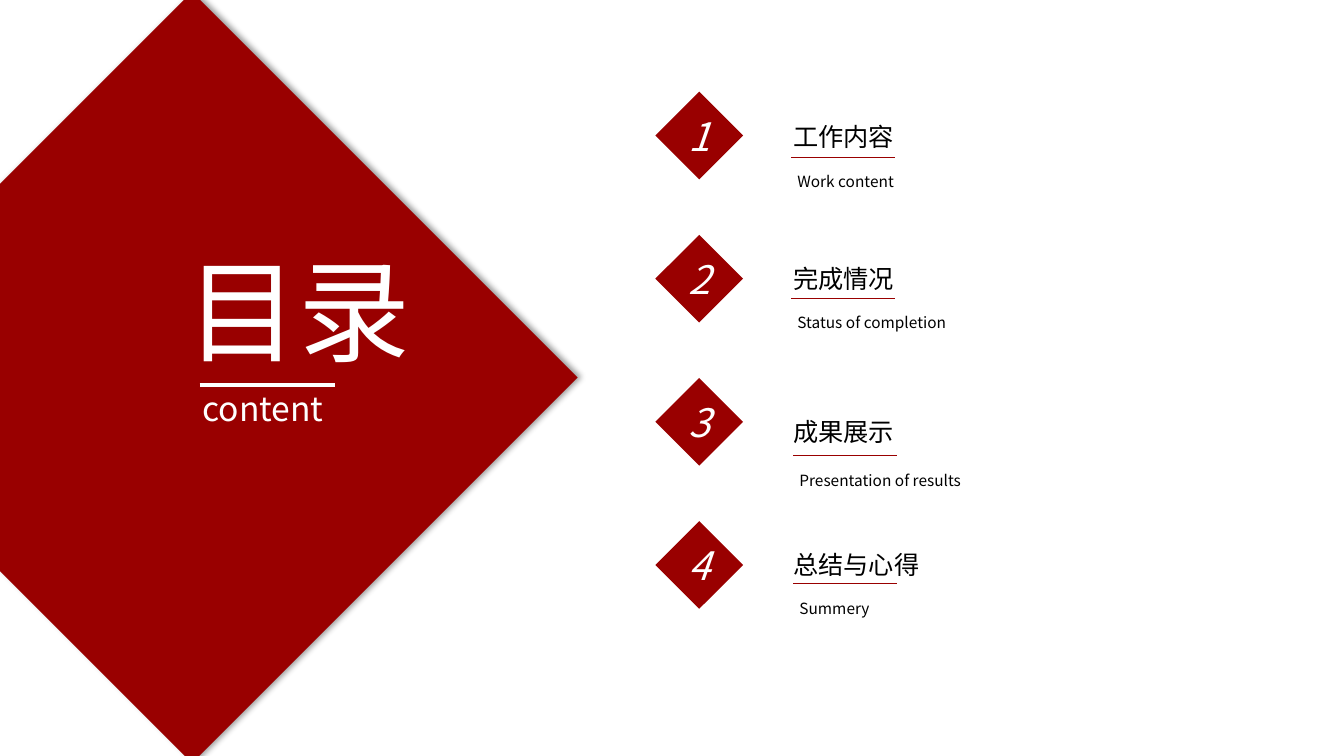
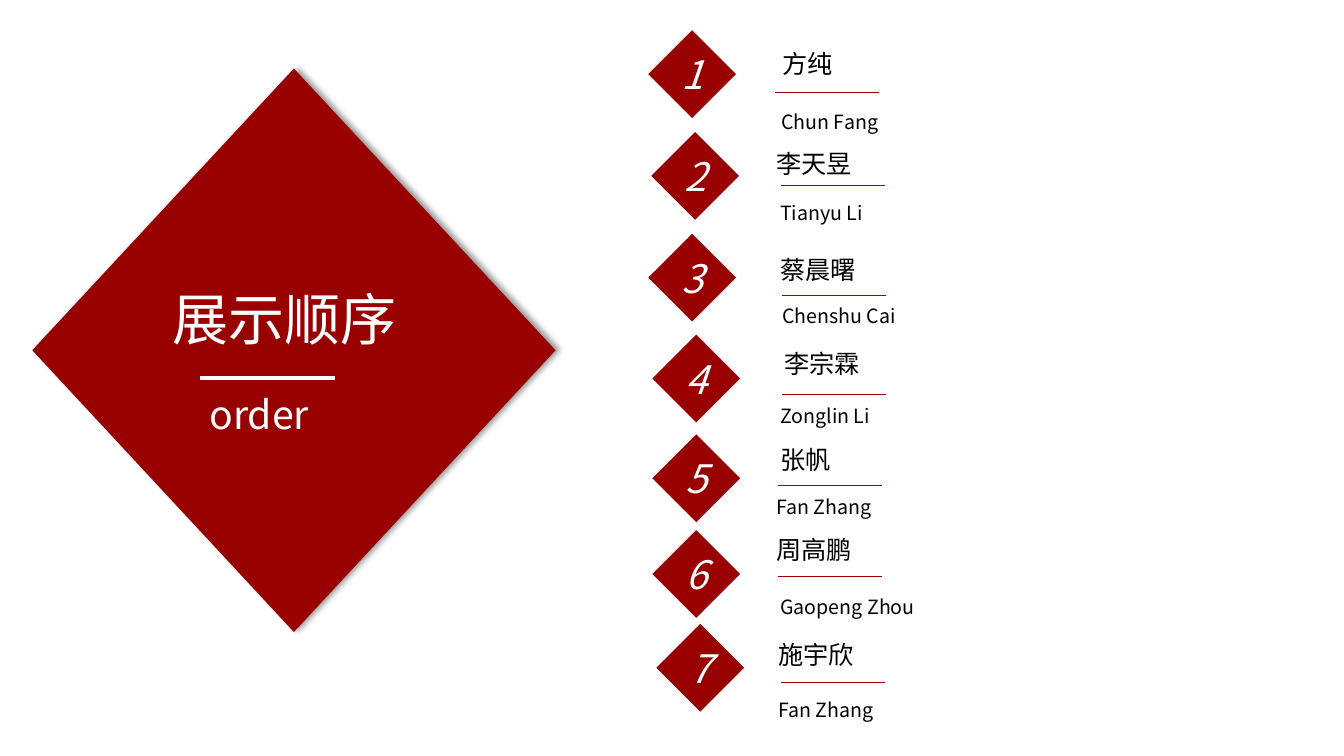
from dataclasses import dataclass

from lxml.etree import SubElement
from pptx import Presentation
from pptx.dml.color import RGBColor
from pptx.enum.shapes import MSO_CONNECTOR as Connector, MSO_SHAPE as Preset
from pptx.enum.text import MSO_ANCHOR as Anchor, MSO_AUTO_SIZE as AutoSize, PP_ALIGN as Align
from pptx.oxml.ns import qn
from pptx.util import Inches, Pt

# The grid has square cells, one inch a side.
COLUMNS, ROWS = 13.33, 7.5
RED, WHITE, BLACK = "990000", "FFFFFF", "000000"
DISPLAY_FONT, BODY_FONT = "Noto Sans CJK JP", "Noto Sans CJK SC"
BADGE_SIDE = 0.87
ENTRY_RULE = 1.03
BANNER_RULE_LEFT, BANNER_RULE_LENGTH = 1.98, 1.34
BANNER_TITLE_WIDTH, BANNER_SUBTITLE_WIDTH = 2.52, 2.36
HEADING_WIDTH, CAPTION_WIDTH = 3.86, 2.28


@dataclass
class Entry:
    """A numbered line; each place is a (column, row) pair."""
    heading: str
    caption: str
    badge: tuple
    heading_at: tuple
    rule_at: tuple
    caption_at: tuple


CONTENTS = [
    Entry(heading, caption, (6.5, 0.91 + 1.42 * index), (7.77, top),
          (left + 0.04, rule), (left, rule + 0.1))
    for index, (heading, caption, top, left, rule) in enumerate([
        ("工作内容", "Work content", 1.15, 7.81, 1.56),
        ("完成情况", "Status of completion", 2.56, 7.81, 2.96),
        ("成果展示", "Presentation of results", 4.08, 7.83, 4.52),
        ("总结与心得", "Summery", 5.4, 7.83, 5.79),
    ])
]

SPEAKERS = [
    Entry("方纯", "Chun Fang", (6.43, 0.3), (7.66, 0.43), (7.69, 0.92), (7.65, 1.04)),
    Entry("李天昱", "Tianyu Li", (6.46, 1.31), (7.6, 1.42), (7.75, 1.84), (7.64, 1.94)),
    Entry("蔡晨曙", "Chenshu Cai", (6.43, 2.32), (7.64, 2.47), (7.76, 2.93), (7.66, 2.97)),
    Entry("李宗霖", "Zonglin Li", (6.47, 3.32), (7.68, 3.41), (7.76, 3.91), (7.64, 3.96)),
    Entry("张帆", "Fan Zhang", (6.47, 4.31), (7.64, 4.36), (7.72, 4.82), (7.6, 4.86)),
    Entry("周高鹏", "Gaopeng Zhou", (6.47, 5.26), (7.6, 5.25), (7.72, 5.72), (7.64, 5.85)),
    Entry("施宇欣", "Fan Zhang", (6.51, 6.19), (7.62, 6.29), (7.75, 6.77), (7.62, 6.87)),
]


def color(hex_value):
    return RGBColor.from_string(hex_value)


def write(frame, text, size, font, ink, align=Align.LEFT, italic=None):
    paragraph = frame.paragraphs[0]
    paragraph.alignment = align
    run = paragraph.add_run()
    run.text = text
    run.font.size = Pt(size)
    run.font.name = font
    run.font.italic = italic
    run.font.color.rgb = color(ink)
    SubElement(run.font._element, qn("a:ea"), typeface=font)


def add_label(slide, at, width, text, size, font, ink, align=Align.LEFT):
    height = size / 72 * 1.45 + 0.1
    box = slide.shapes.add_textbox(*map(Inches, (*at, width, height)))
    frame = box.text_frame
    frame.word_wrap = True
    frame.auto_size = AutoSize.SHAPE_TO_FIT_TEXT
    write(frame, text, size, font, ink, align)


def add_diamond(slide, left, top, width, height):
    diamond = slide.shapes.add_shape(
        Preset.DIAMOND, *map(Inches, (left, top, width, height)))
    diamond.shadow.inherit = False
    diamond.fill.solid()
    diamond.fill.fore_color.rgb = color(RED)
    diamond.line.fill.background()
    return diamond


def cast_shadow(shape):
    """Give the shape a soft shadow to its right."""
    effects = shape._element.spPr.find(qn("a:effectLst"))
    shadow = SubElement(effects, qn("a:outerShdw"), blurRad=str(Pt(4)),
                        dist=str(Pt(3)), dir="0", algn="l", rotWithShape="0")
    tint = SubElement(shadow, qn("a:srgbClr"), val=BLACK)
    SubElement(tint, qn("a:alpha"), val="40000")


def add_rule(slide, at, length, ink, weight):
    left, top = at
    rule = slide.shapes.add_connector(
        Connector.STRAIGHT, *map(Inches, (left, top, left + length, top)))
    rule.line.color.rgb = color(ink)
    rule.line.width = Pt(weight)
    SubElement(rule._element.spPr, qn("a:effectLst"))


def add_banner(slide, bounds, title, title_at, title_size,
               subtitle, subtitle_at, subtitle_size, rule_top):
    """Large diamond with the slide's title, a rule and its translation."""
    cast_shadow(add_diamond(slide, *bounds))
    add_label(slide, title_at, BANNER_TITLE_WIDTH, title, title_size,
              DISPLAY_FONT, WHITE, Align.CENTER)
    add_label(slide, subtitle_at, BANNER_SUBTITLE_WIDTH, subtitle, subtitle_size,
              DISPLAY_FONT, WHITE)
    add_rule(slide, (BANNER_RULE_LEFT, rule_top), BANNER_RULE_LENGTH, WHITE, 2.25)


def add_badge(slide, at, number):
    badge = add_diamond(slide, *at, BADGE_SIDE, BADGE_SIDE)
    badge.text_frame.vertical_anchor = Anchor.MIDDLE
    write(badge.text_frame, str(number), 28, DISPLAY_FONT, WHITE, Align.CENTER, italic=True)


def add_entries(slide, entries, caption_size):
    for number, entry in enumerate(entries, start=1):
        add_badge(slide, entry.badge, number)
        add_label(slide, entry.heading_at, HEADING_WIDTH, entry.heading, 18,
                  BODY_FONT, BLACK)
        add_rule(slide, entry.rule_at, ENTRY_RULE, RED, 0.5)
        add_label(slide, entry.caption_at, CAPTION_WIDTH, entry.caption, caption_size,
                  BODY_FONT, BLACK)


def main():
    deck = Presentation()
    deck.slide_width, deck.slide_height = Inches(COLUMNS), Inches(ROWS)
    blank = deck.slide_layouts[6]

    contents = deck.slides.add_slide(blank)
    add_banner(contents, (-1.92, -0.08, 7.65, 7.65), "目录", (1.7, 2.35), 80,
               "content", (1.91, 3.8), 24, rule_top=3.82)
    add_entries(contents, CONTENTS, caption_size=11)

    order = deck.slides.add_slide(blank)
    add_banner(order, (0.32, 0.68, 5.19, 5.59), "展示顺序", (1.56, 2.77), 40,
               "order", (1.98, 3.82), 28, rule_top=3.75)
    add_entries(order, SPEAKERS, caption_size=14)

    deck.save("out.pptx")


if __name__ == "__main__":
    main()
